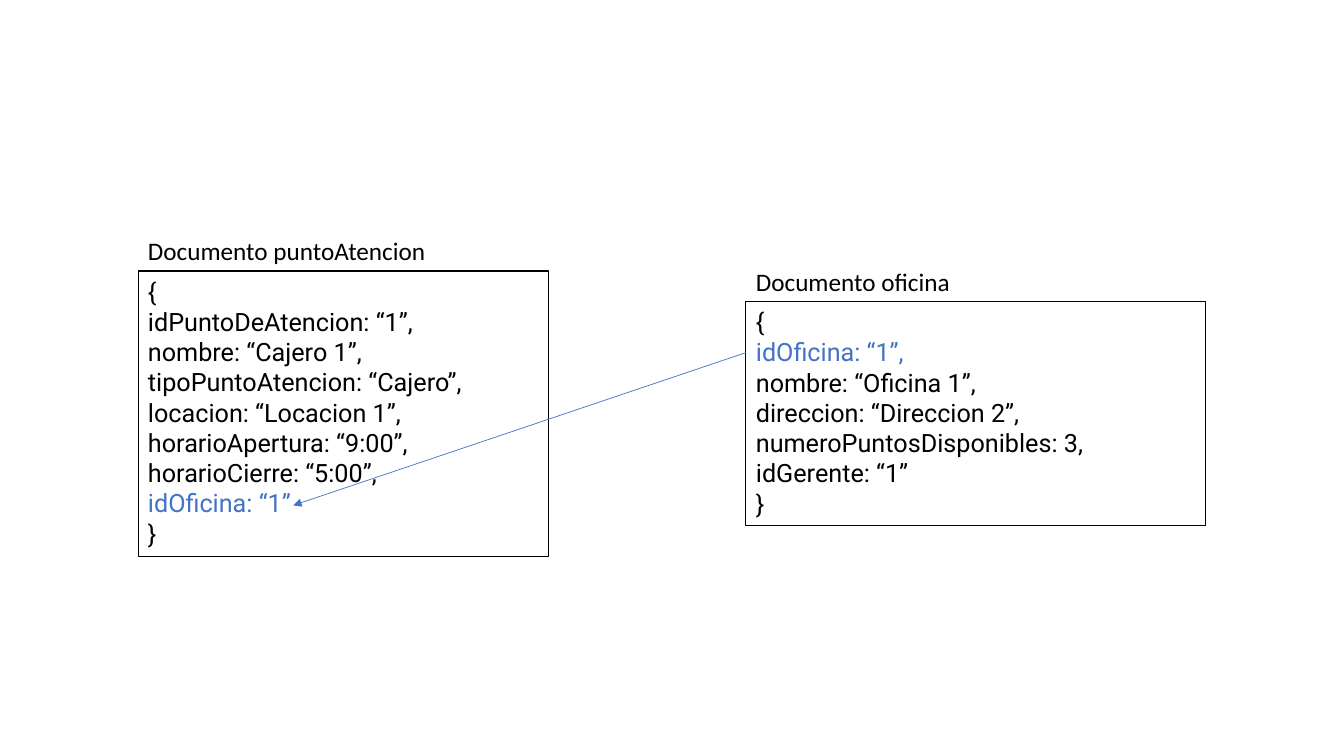
from lxml import etree
from pptx import Presentation
from pptx.dml.color import RGBColor
from pptx.enum.shapes import MSO_CONNECTOR, MSO_SHAPE
from pptx.enum.text import MSO_ANCHOR, MSO_AUTO_SIZE, PP_ALIGN
from pptx.oxml.ns import qn
from pptx.util import Cm, Pt

RECT = MSO_SHAPE.RECTANGLE
STRAIGHT = MSO_CONNECTOR.STRAIGHT
TOP = MSO_ANCHOR.TOP
LEFT = PP_ALIGN.LEFT
FIT = MSO_AUTO_SIZE.SHAPE_TO_FIT_TEXT

BLACK = RGBColor(0x00, 0x00, 0x00)
BLUE = RGBColor(0x44, 0x72, 0xC4)

KEY = "idOficina"
POINT = {
    "title": "Documento puntoAtencion",
    "left": 3.48, "top": 6.83, "width": 10.34,
    "lines": ["{", "idPuntoDeAtencion: “1”,", "nombre: “Cajero 1”,",
              "tipoPuntoAtencion: “Cajero”,", "locacion: “Locacion 1”,",
              "horarioApertura: “9:00”,", "horarioCierre: “5:00”,",
              "idOficina: “1”", "}"],
}
OFFICE = {
    "title": "Documento oficina",
    "left": 18.8, "top": 7.6, "width": 11.58,
    "lines": ["{", "idOficina: “1”,", "nombre: “Oficina 1”,",
              "direccion: “Direccion 2”,", "numeroPuntosDisponibles: 3,",
              "idGerente: “1”", "}"],
}
ROW, PAD = 0.77, 0.13
HEAD_W, HEAD_H = 9.02, 1.02
KEY_W = 3.91


def write(shape, lines, font):
    """Fill a shape with left-aligned lines, key field in blue."""
    frame = shape.text_frame
    frame.word_wrap = True
    frame.auto_size = FIT
    frame.vertical_anchor = TOP
    frame.text = "\n".join(lines)
    for para in frame.paragraphs:
        para.alignment = LEFT
        for run in para.runs:
            run.font.name = font
            run.font.size = Pt(18)
            run.font.color.rgb = BLUE if run.text.startswith(KEY) else BLACK


def draw(slide, doc):
    """Draw one document as a framed listing under its heading."""
    group = slide.shapes.add_group_shape()
    left, top, width = doc["left"], doc["top"], doc["width"]
    high = len(doc["lines"]) * ROW + 2 * PAD
    box = group.shapes.add_shape(RECT, Cm(left), Cm(top), Cm(width), Cm(high))
    box.shadow.inherit = False
    box.fill.background()
    box.line.color.rgb = BLACK
    box.line.width = Pt(0.75)
    write(box, doc["lines"], "Roboto")
    head = group.shapes.add_textbox(
        Cm(left), Cm(top - HEAD_H), Cm(HEAD_W), Cm(HEAD_H))
    write(head, [doc["title"]], "Calibri")


def key_y(doc):
    """Return the middle height of the key field's row."""
    row = next(i for i, line in enumerate(doc["lines"])
               if line.startswith(KEY))
    return Cm(doc["top"] + PAD + (row + 0.5) * ROW)


def link(slide, start, end):
    """Draw an arrow from one key field to the other."""
    arrow = slide.shapes.add_connector(
        STRAIGHT, Cm(start["left"]), key_y(start),
        Cm(end["left"] + KEY_W), key_y(end))
    arrow.line.color.rgb = BLUE
    arrow.line.width = Pt(0.5)
    props = arrow.element.spPr
    etree.SubElement(props.find(qn("a:ln")), qn("a:tailEnd"), type="triangle")
    etree.SubElement(props, qn("a:effectLst"))


def main():
    """Build the slide of two linked documents."""
    deck = Presentation()
    deck.slide_width, deck.slide_height = Cm(33.87), Cm(19.05)
    slide = deck.slides.add_slide(deck.slide_layouts[6])
    for doc in (POINT, OFFICE):
        draw(slide, doc)
    link(slide, OFFICE, POINT)
    deck.save("out.pptx")


if __name__ == "__main__":
    main()
